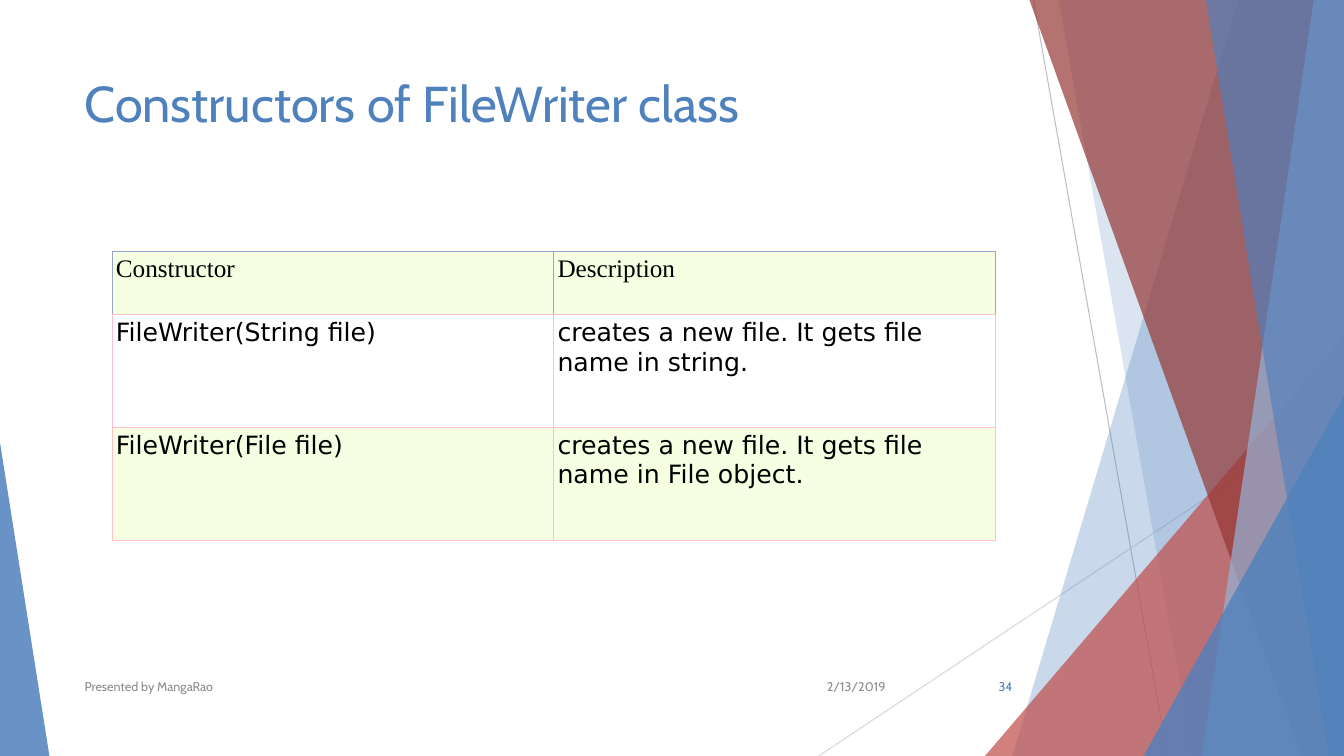
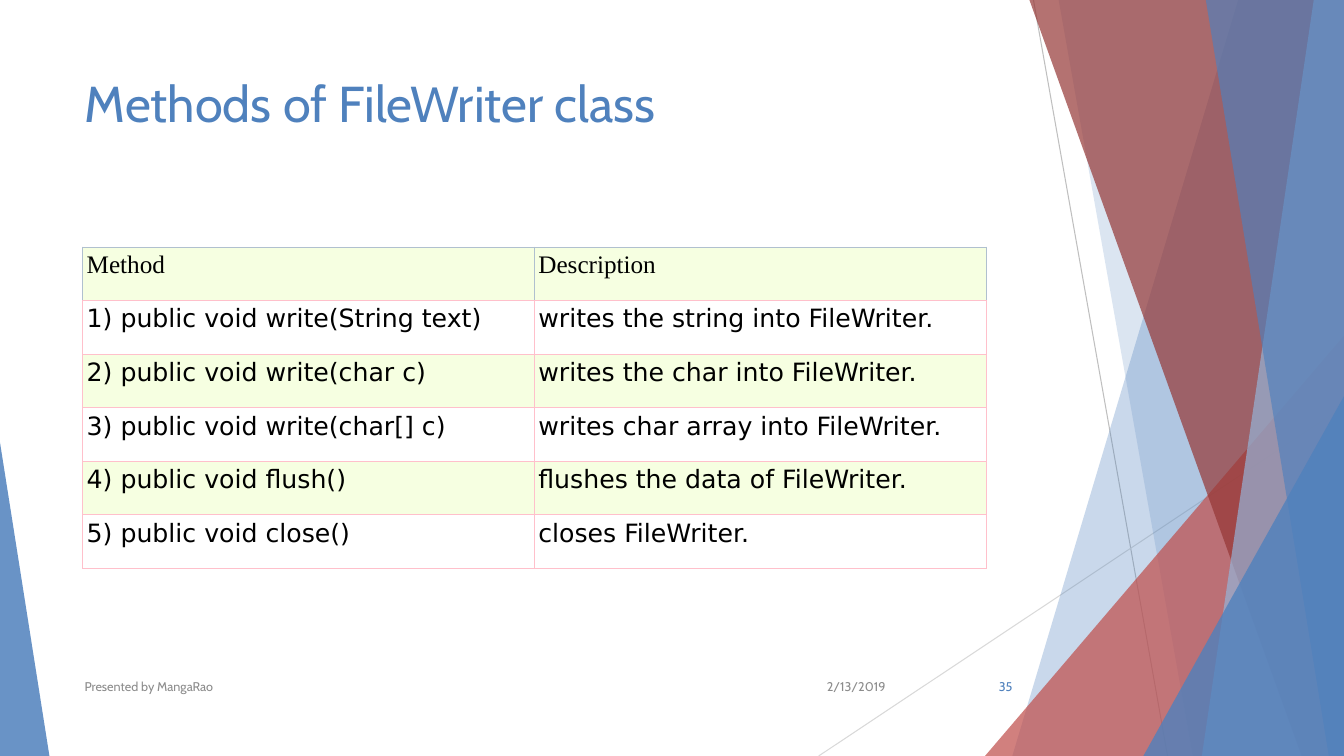
from dataclasses import dataclass

from pptx import Presentation
from pptx.dml.color import RGBColor
from pptx.enum.shapes import MSO_CONNECTOR, MSO_SHAPE
from pptx.enum.text import MSO_ANCHOR, MSO_AUTO_SIZE, PP_ALIGN
from pptx.oxml.ns import qn
from pptx.oxml.xmlchemy import OxmlElement
from pptx.util import Inches, Pt


@dataclass(frozen=True)
class Theme:
    blue: str = "4F81BD"
    light_blue: str = "95B3D7"
    red: str = "C0504D"
    dark_red: str = "953735"
    gray: str = "8C8C8C"
    black: str = "000000"
    white: str = "FFFFFF"
    cell_green: str = "F6FFE1"
    cell_border: str = "FFC0CB"
    font: str = "Cabin"
    header_font: str = "Times New Roman"
    body_font: str = "DejaVu Sans"
    title_size: int = 36
    table_size: int = 18
    footer_size: int = 9
    border_width: float = 0.6


theme = Theme()
WIDTH, HEIGHT = 13.33, 7.5

# Background lines: start x, start y, end x, end y, colour
LINES = [
    (10.25, 0, 11.58, HEIGHT, "BFBFBF"),
    (WIDTH, 4.03, 8.12, HEIGHT, "D9D9D9"),
]

# Background facets, back to front. A strip reaches the right slide edge and
# has a top x and a bottom x; a triangle stands on the bottom edge and has a
# left, a top, a width and the place of its tip (0 left, 1 right).
FACETS = [
    ("strip", (12.28, 10.04), theme.blue, 30),
    ("strip", (10.5, 11.83), theme.blue, 20),
    ("triangle", (9.77, 3.33, 3.56, 1), theme.red, 72),
    ("strip", (10.21, 12.91), theme.dark_red, 70),
    ("strip", (13.03, 11.92), theme.light_blue, 70),
    ("strip", (11.96, 13.18), theme.blue, 65),
    ("triangle", (11.34, 3.93, 1.99, 1), theme.blue, 80),
    ("triangle", (0, 4.39, 0.49, 0), theme.blue, 85),
]

PAGES = [
    {
        "title": "Constructors of FileWriter class",
        "number": "34",
        "table_at": (1.11, 2.49, 8.76),
        "row_heights": [0.63, 1.12, 1.12],
        "header_border": "98A4CE",
        "rows": [
            ("Constructor", "Description"),
            ("FileWriter(String file)", "creates a new file. It gets file name in string."),
            ("FileWriter(File file)", "creates a new file. It gets file name in File object."),
        ],
    },
    {
        "title": "Methods of FileWriter class",
        "number": "35",
        "table_at": (0.82, 2.45, 8.96),
        "row_heights": [3.19 / 6] * 6,
        "header_border": "B0C0CF",
        "rows": [
            ("Method", "Description"),
            ("1) public void write(String text)", "writes the string into FileWriter."),
            ("2) public void write(char c)", "writes the char into FileWriter."),
            ("3) public void write(char[] c)", "writes char array into FileWriter."),
            ("4) public void flush()", "flushes the data of FileWriter."),
            ("5) public void close()", "closes FileWriter."),
        ],
    },
]


def write_text(frame, text, font, size, colour, align=PP_ALIGN.LEFT):
    """Put one formatted run into the first paragraph of a text frame."""
    frame.word_wrap = True
    para = frame.paragraphs[0]
    para.alignment = align
    span = para.add_run()
    span.text = text
    span.font.name = font
    span.font.size = Pt(size)
    span.font.color.rgb = RGBColor.from_string(colour)


def add_border(cell, side, colour):
    """Draw one side (L, R, T or B) of a table cell."""
    line = OxmlElement(f"a:ln{side}")
    line.set("w", str(Pt(theme.border_width)))
    fill = OxmlElement("a:solidFill")
    value = OxmlElement("a:srgbClr")
    value.set("val", colour)
    fill.append(value)
    line.append(fill)
    cell._tc.get_or_add_tcPr().append(line)


deck = Presentation()
deck.slide_width, deck.slide_height = Inches(WIDTH), Inches(HEIGHT)

for content in PAGES:
    page = deck.slides.add_slide(deck.slide_layouts[5])

    # Background lines
    for x1, y1, x2, y2, colour in LINES:
        line = page.shapes.add_connector(
            MSO_CONNECTOR.STRAIGHT, Inches(x1), Inches(y1), Inches(x2), Inches(y2))
        line.line.color.rgb = RGBColor.from_string(colour)
        line.line.width = Pt(0.75)
        line.element.spPr.append(OxmlElement("a:effectLst"))

    # Background facets
    for kind, geometry, colour, opacity in FACETS:
        if kind == "strip":
            top_x, bottom_x = geometry
            builder = page.shapes.build_freeform(Inches(top_x), 0)
            corners = [(WIDTH, 0), (WIDTH, HEIGHT), (bottom_x, HEIGHT)]
            builder.add_line_segments([(Inches(x), Inches(y)) for x, y in corners])
            facet = builder.convert_to_shape()
        else:
            left, top, width, tip = geometry
            facet = page.shapes.add_shape(
                MSO_SHAPE.ISOSCELES_TRIANGLE,
                Inches(left), Inches(top), Inches(width), Inches(HEIGHT - top))
            facet.adjustments[0] = tip
        facet.shadow.inherit = False
        facet.line.fill.background()
        facet.fill.solid()
        facet.fill.fore_color.rgb = RGBColor.from_string(colour)
        alpha = OxmlElement("a:alpha")
        alpha.set("val", str(opacity * 1000))
        facet.element.spPr.find(f"{qn('a:solidFill')}/{qn('a:srgbClr')}").append(alpha)

    # Title
    title = page.shapes.title
    title.left, title.top = Inches(0.74), Inches(0.67)
    title.width, title.height = Inches(9.4), Inches(1.44)
    title.text_frame.vertical_anchor = MSO_ANCHOR.TOP
    title.text_frame.auto_size = MSO_AUTO_SIZE.NONE
    write_text(title.text_frame, content["title"], theme.font, theme.title_size, theme.blue)

    # Table
    rows, heights = content["rows"], content["row_heights"]
    left, top, width = content["table_at"]
    table = page.shapes.add_table(
        len(rows), 2, Inches(left), Inches(top), Inches(width), Inches(sum(heights))).table
    table.first_row = table.horz_banding = False
    for row_index, texts in enumerate(rows):
        table.rows[row_index].height = Inches(heights[row_index])
        is_header = row_index == 0
        border = content["header_border"] if is_header else theme.cell_border
        font = theme.header_font if is_header else theme.body_font
        fill = theme.white if row_index % 2 else theme.cell_green
        for column_index, text in enumerate(texts):
            cell = table.cell(row_index, column_index)
            cell.margin_left = cell.margin_right = Inches(0.04)
            cell.margin_top = cell.margin_bottom = Inches(0.04)
            for side in "LRT":
                add_border(cell, side, border)
            add_border(cell, "B", theme.cell_border)
            cell.fill.solid()
            cell.fill.fore_color.rgb = RGBColor.from_string(fill)
            write_text(cell.text_frame, text, font, theme.table_size, theme.black)

    # Footer: date, presenter, page number
    for left, width, text, colour, align in [
        (7.88, 1, "2/13/2019", theme.gray, PP_ALIGN.RIGHT),
        (0.74, 6.89, "Presented by MangaRao", theme.gray, PP_ALIGN.LEFT),
        (9.39, 0.75, content["number"], theme.blue, PP_ALIGN.RIGHT),
    ]:
        box = page.shapes.add_textbox(Inches(left), Inches(6.61), Inches(width), Inches(0.4))
        box.text_frame.vertical_anchor = MSO_ANCHOR.MIDDLE
        write_text(box.text_frame, text, theme.font, theme.footer_size, colour, align)

deck.save("out.pptx")
